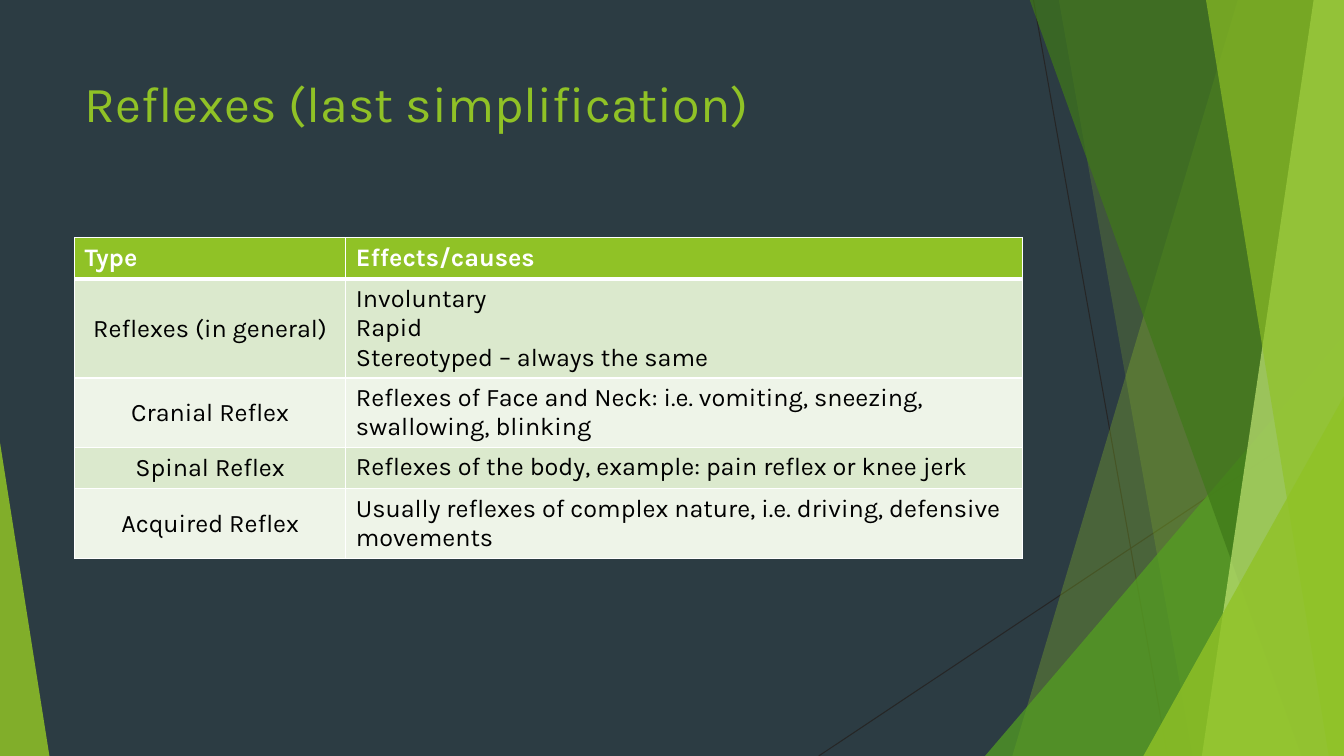
from lxml import etree
from pptx import Presentation
from pptx.dml.color import RGBColor
from pptx.enum import shapes, text
from pptx.oxml.ns import qn
from pptx.util import Inches, Pt

DARK = RGBColor(0x2C, 0x3C, 0x43)
LINE = RGBColor(0x26, 0x26, 0x26)
LIME = RGBColor(0x90, 0xC2, 0x26)
GREEN = RGBColor(0x54, 0xA0, 0x21)
FOREST = RGBColor(0x3F, 0x78, 0x19)
PALE = RGBColor(0xC0, 0xE4, 0x74)
BAND = RGBColor(0xDB, 0xE9, 0xCD)
LIGHT = RGBColor(0xEE, 0xF4, 0xE8)
WHITE = RGBColor(0xFF, 0xFF, 0xFF)
BLACK = RGBColor(0, 0, 0)
W, H = 13.33, 7.5


def write(tf, content, size=18, color=BLACK, bold=False, align=text.PP_ALIGN.LEFT):
    for i, line in enumerate(content.split("\n")):
        p = tf.paragraphs[0] if i == 0 else tf.add_paragraph()
        p.alignment = align
        r = p.add_run()
        r.text = line
        r.font.name, r.font.size, r.font.bold = "Karla", Pt(size), bold
        r.font.color.rgb = color


def paint(sp, color, opacity):
    sp.shadow.inherit = False
    sp.line.fill.background()
    sp.fill.solid()
    sp.fill.fore_color.rgb = color
    clr = sp.fill._xPr.find(qn("a:solidFill"))[0]
    etree.SubElement(clr, qn("a:alpha"), val=str(opacity * 1000))


prs = Presentation()
prs.slide_width, prs.slide_height = Inches(W), Inches(H)
s = prs.slides.add_slide(prs.slide_layouts[5])
s.background.fill.solid()
s.background.fill.fore_color.rgb = DARK

# Thin crossing lines
for x1, y1, x2 in [(10.25, 0, 11.58), (W, 4.03, 8.12)]:
    cx = s.shapes.add_connector(shapes.MSO_CONNECTOR.STRAIGHT, Inches(x1), Inches(y1),
                                Inches(x2), Inches(H))
    cx.line.color.rgb, cx.line.width = LINE, Pt(0.75)
    etree.SubElement(cx._element.spPr, qn("a:effectLst"))

# Translucent facets: slanted bands (top x, bottom x) reach the right edge,
# triangles (left, top, width, apex) stand on the bottom edge
facets = [
    ((12.28, 10.04), LIME, 30),
    ((10.5, 11.83), LIME, 20),
    ((9.77, 3.33, 3.56, 1), GREEN, 72),
    ((10.21, 12.91), FOREST, 70),
    ((13.03, 11.92), PALE, 70),
    ((11.96, 13.18), LIME, 65),
    ((11.34, 3.93, 1.99, 1), LIME, 80),
    ((0, 4.39, 0.49, 0), LIME, 85),
]
for geometry, color, opacity in facets:
    if len(geometry) == 2:
        top, bottom = geometry
        fb = s.shapes.build_freeform(Inches(top), Inches(-0.01))
        fb.add_line_segments([(Inches(x), Inches(y)) for x, y in
                              [(W, -0.01), (W, H), (bottom, H)]], close=True)
        sp = fb.convert_to_shape()
    else:
        left, top, width, apex = geometry
        sp = s.shapes.add_shape(shapes.MSO_SHAPE.ISOSCELES_TRIANGLE, Inches(left),
                                Inches(top), Inches(width), Inches(H - top))
        sp.adjustments[0] = apex
    paint(sp, color, opacity)

# Title
title = s.shapes.title
title.left, title.top, title.width, title.height = map(Inches, (0.74, 0.67, 9.4, 1.44))
tf = title.text_frame
tf.word_wrap = True
tf.vertical_anchor = text.MSO_ANCHOR.TOP
write(tf, "Reflexes (last simplification)", size=36, color=LIME)

# Reflex table
rows = [
    ("Type", "Effects/causes", 0.41),
    ("Reflexes (in general)", "Involuntary\nRapid\nStereotyped – always the same", 0.97),
    ("Cranial Reflex", "Reflexes of Face and Neck: i.e. vomiting, sneezing, "
     "swallowing, blinking", 0.69),
    ("Spinal Reflex", "Reflexes of the body, example: pain reflex or knee jerk", 0.41),
    ("Acquired Reflex", "Usually reflexes of complex nature, i.e. driving, defensive "
     "movements", 0.69),
]
tbl = s.shapes.add_table(len(rows), 2, Inches(0.74), Inches(2.36), Inches(9.4),
                         Inches(3.17)).table
tbl.columns[0].width, tbl.columns[1].width = Inches(2.69), Inches(6.71)
for i, (kind, effects, height) in enumerate(rows):
    tbl.rows[i].height = Inches(height)
    header = i == 0
    for j, content in enumerate((kind, effects)):
        cell = tbl.cell(i, j)
        centred = j == 0 and not header
        write(cell.text_frame, content, color=WHITE if header else BLACK, bold=header,
              align=text.PP_ALIGN.CENTER if centred else text.PP_ALIGN.LEFT)
        cell.vertical_anchor = text.MSO_ANCHOR.MIDDLE if centred else text.MSO_ANCHOR.TOP
        # White borders, thick between header and body
        tcPr = cell._tc.get_or_add_tcPr()
        for side in ("lnL", "lnR", "lnT", "lnB"):
            thick = (i, side) in [(0, "lnB"), (1, "lnT")]
            ln = etree.SubElement(tcPr, qn("a:" + side), w=str(Pt(3 if thick else 1)))
            fill = etree.SubElement(ln, qn("a:solidFill"))
            etree.SubElement(fill, qn("a:srgbClr"), val=str(WHITE))
        cell.fill.solid()
        cell.fill.fore_color.rgb = LIME if header else (BAND if i % 2 else LIGHT)

prs.save("out.pptx")
